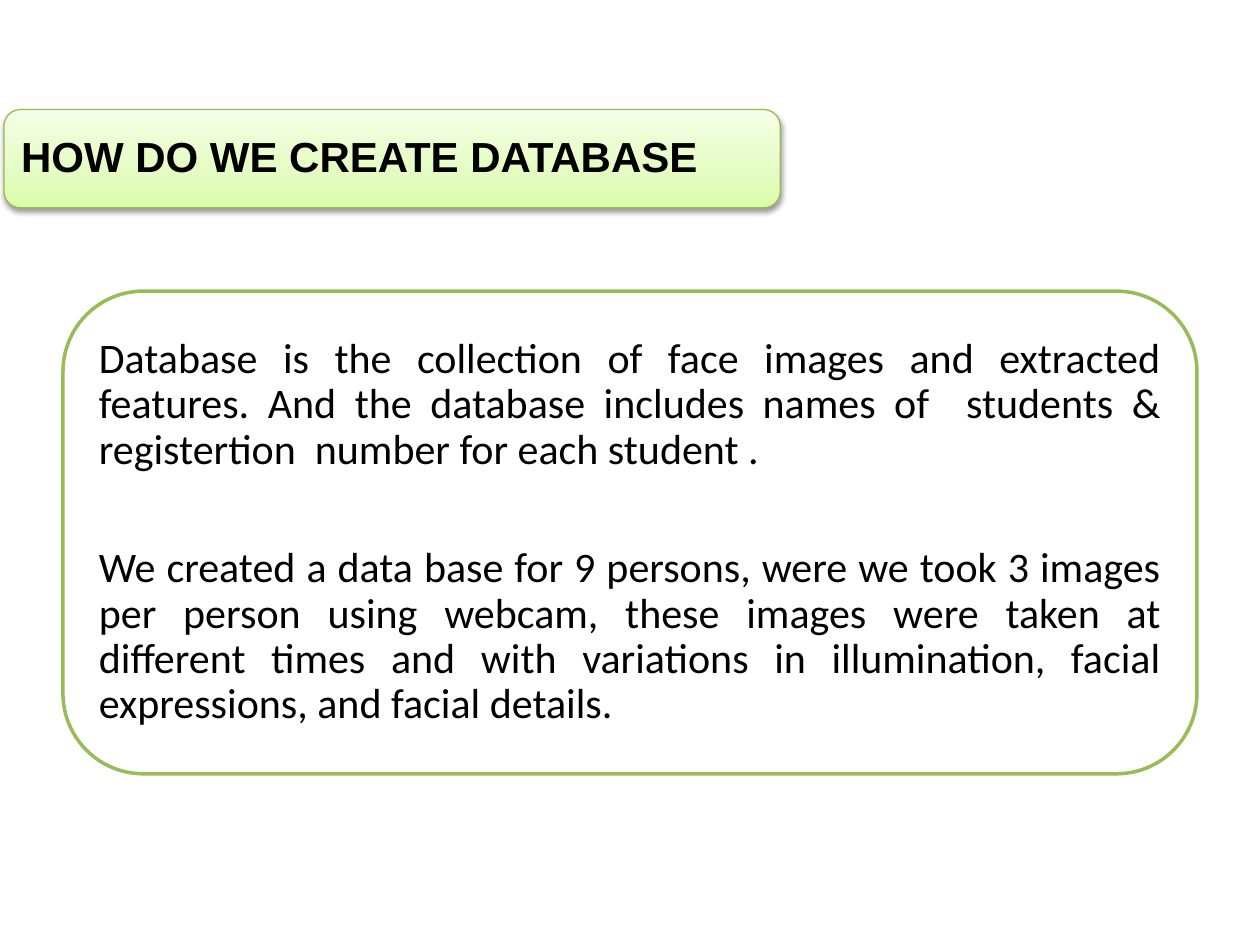
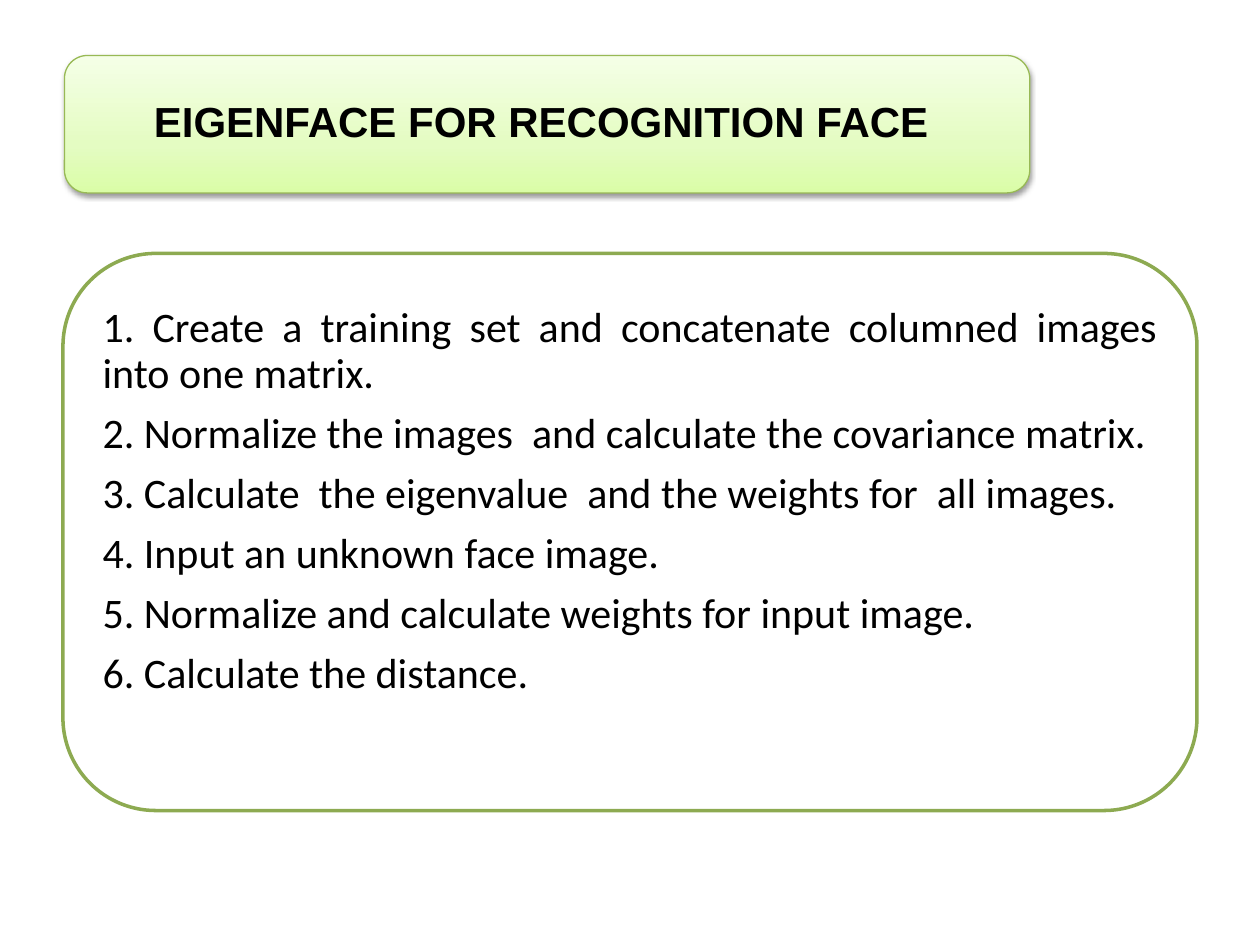
import copy

import pptx
import pptx.dml.color
import pptx.enum.shapes
import pptx.enum.text
import pptx.oxml
import pptx.oxml.ns
import pptx.util
from pptx.util import Cm

COLORS = {
    "text": "000000",
    "panel": "FFFFFF",
    "title_line": "98B955",
    "shadow": "000000",
}
TITLE_STOPS = [(0, "DAFDA7"), (0.35, "E4FCC2"), (1, "F5FFE7")]
ALIGN = pptx.enum.text.PP_ALIGN
INSET = 0.25

SLIDES = [
    {
        "title": "HOW DO WE CREATE DATABASE",
        "title_box": (0.08, 2.21, 15.65, 1.98),
        "title_align": ALIGN.LEFT,
        "panel_box": (1.27, 5.87, 22.86, 9.73),
        "panel_line": "9BBB59",
        "bottom_inset": INSET,
        "gap": 42,
        "body": [
            "Database is the collection of face images and extracted features. "
            "And the database includes names of  students & registertion  number "
            "for each student .",
            "We created a data base for 9 persons, were we took 3 images per person "
            "using webcam, these images were taken at different times and with "
            "variations in illumination, facial expressions, and facial details.",
        ],
    },
    {
        "title": "EIGENFACE FOR RECOGNITION FACE ",
        "title_box": (1.3, 1.12, 19.46, 2.77),
        "title_align": ALIGN.CENTER,
        "panel_box": (1.27, 5.11, 22.86, 11.23),
        "panel_line": "8DAA51",
        "bottom_inset": 1.46,
        "gap": 8.4,
        "body": [
            "1. Create a training set and concatenate columned images into one matrix.",
            "2. Normalize the images  and calculate the covariance matrix.",
            "3. Calculate  the eigenvalue  and the weights for  all images.",
            "4. Input an unknown face image.",
            "5. Normalize and calculate weights for input image.",
            "6. Calculate the distance.",
        ],
    },
]


def rgb(value):
    return pptx.dml.color.RGBColor.from_string(value)


def add_box(slide, box, line, width, paragraphs, font, bold, align, gap=0, bottom=INSET):
    """Add a rounded box holding its own text; lengths in cm, gap in points."""
    s = slide.shapes.add_shape(
        pptx.enum.shapes.MSO_SHAPE.ROUNDED_RECTANGLE, *[Cm(v) for v in box])
    s.shadow.inherit = False
    s.line.color.rgb = rgb(line)
    s.line.width = pptx.util.Pt(width)
    tf = s.text_frame
    tf.word_wrap = True
    tf.vertical_anchor = pptx.enum.text.MSO_ANCHOR.MIDDLE
    tf.margin_left = tf.margin_right = tf.margin_top = Cm(INSET)
    tf.margin_bottom = Cm(bottom)
    tf.text = "\n".join(paragraphs)
    for i, p in enumerate(tf.paragraphs):
        p.alignment = align
        p.line_spacing = 0.9
        p.space_before = pptx.util.Pt(gap if i else 0)
        for r in p.runs:
            r.font.name = font
            r.font.size = pptx.util.Pt(24)
            r.font.bold = bold
            r.font.color.rgb = rgb(COLORS["text"])
    return s


prs = pptx.Presentation()
prs.slide_width, prs.slide_height = Cm(25.4), Cm(19.05)

for content in SLIDES:
    slide = prs.slides.add_slide(prs.slide_layouts[6])

    panel = add_box(slide, content["panel_box"], content["panel_line"], 2,
                    content["body"], "Calibri", False, ALIGN.JUSTIFY,
                    content["gap"], content["bottom_inset"])
    panel.fill.solid()
    panel.fill.fore_color.rgb = rgb(COLORS["panel"])

    title = add_box(slide, content["title_box"], COLORS["title_line"], 0.75,
                    [content["title"]], "Arial", True, content["title_align"])
    title.fill.gradient()
    title.fill.gradient_angle = 90
    # The default gradient has two stops; a third is cloned in
    sp_pr = title._element.spPr
    stop_list = sp_pr.find(".//" + pptx.oxml.ns.qn("a:gsLst"))
    stop_list.append(copy.deepcopy(stop_list[-1]))
    for stop, (position, color) in zip(title.fill.gradient_stops, TITLE_STOPS):
        stop.position = position
        stop.color.rgb = rgb(color)

    effects = sp_pr.find(pptx.oxml.ns.qn("a:effectLst"))
    effects.append(pptx.oxml.parse_xml(
        f'<a:outerShdw {pptx.oxml.ns.nsdecls("a")} blurRad="40000" dist="20000" '
        f'dir="5400000" rotWithShape="0"><a:srgbClr val="{COLORS["shadow"]}">'
        '<a:alpha val="38000"/></a:srgbClr></a:outerShdw>'))

prs.save("out.pptx")
